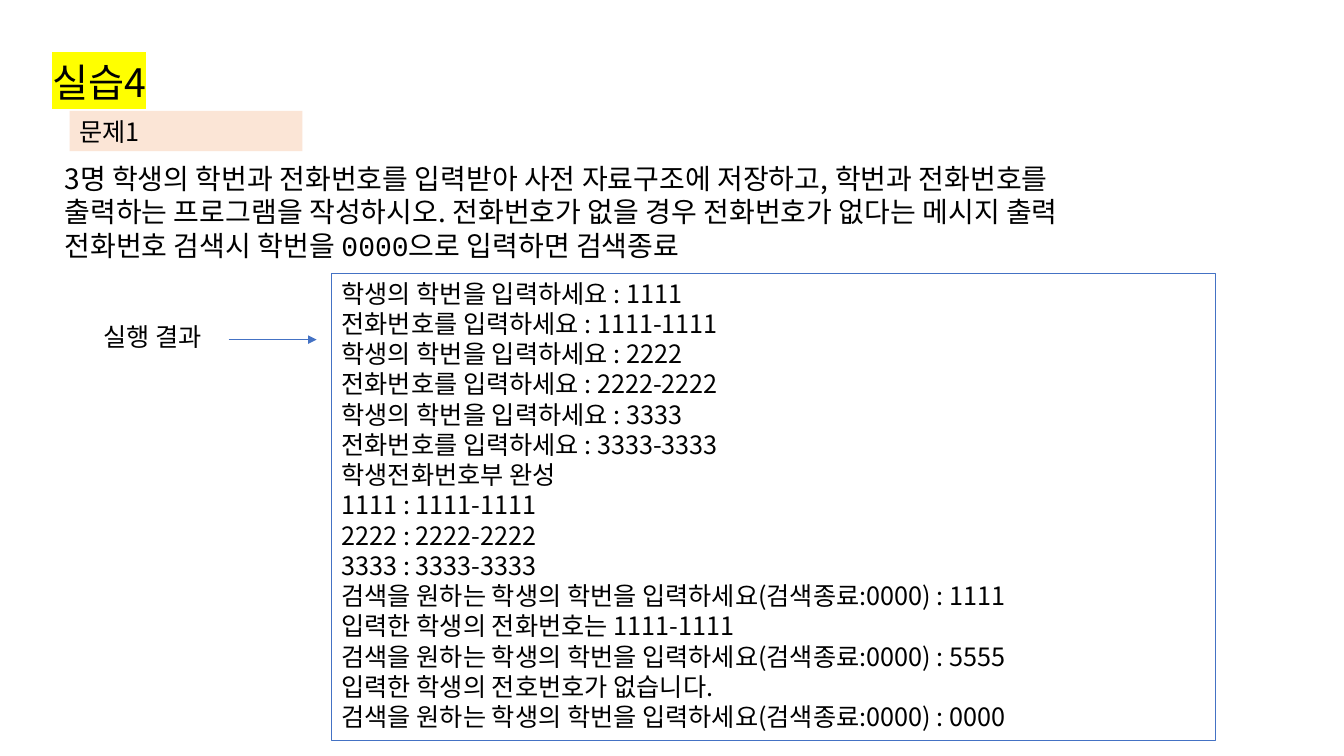
from dataclasses import dataclass

from lxml import etree
from pptx import Presentation
from pptx.dml.color import RGBColor
from pptx.enum import shapes, text
from pptx.oxml import ns
from pptx.util import Pt


@dataclass(frozen=True)
class Theme:
    font: str = "Noto Sans CJK KR"
    mono: str = "Courier New"
    ink: str = "000000"
    accent: str = "4472C4"
    peach: str = "FBE5D6"
    marker: str = "FFFF00"
    title: int = 28
    body: int = 20
    small: int = 18
    leading: float = 1.2


THEME = Theme()

STUDENTS = ["1111", "2222", "3333"]
SEARCH = "검색을 원하는 학생의 학번을 입력하세요(검색종료:0000) : "


def phone(number):
    return f"{number}-{number}"


def add_xml(parent, tag, **attrs):
    return etree.SubElement(parent, ns.qn(tag), attrs)


def place(sp, left, top, width, height):
    sp.left, sp.top, sp.width, sp.height = map(Pt, (left, top, width, height))


def write(sp, lines, size, latin=THEME.font, spacing=None, highlight=None,
          anchor=text.MSO_ANCHOR.TOP, fit=text.MSO_AUTO_SIZE.SHAPE_TO_FIT_TEXT):
    tf = sp.text_frame
    tf.word_wrap = True
    tf.auto_size = fit
    tf.vertical_anchor = anchor
    tf.text = "\n".join(lines)
    for p in tf.paragraphs:
        p.alignment = text.PP_ALIGN.LEFT
        p.line_spacing = spacing or Pt(size * THEME.leading)
        p.space_before = p.space_after = Pt(0)
        for r in p.runs:
            r.font.size = Pt(size)
            r.font.color.rgb = RGBColor.from_string(THEME.ink)
            rpr = r.font._element
            if highlight:
                mark = add_xml(rpr, "a:highlight")
                add_xml(mark, "a:srgbClr", val=highlight)
            add_xml(rpr, "a:latin", typeface=latin)
            add_xml(rpr, "a:ea", typeface=THEME.font)
    return tf


def add_title(s, caption, box):
    sp = s.shapes.title
    place(sp, *box)
    write(sp, [caption], THEME.title, spacing=0.9, highlight=THEME.marker,
          anchor=text.MSO_ANCHOR.BOTTOM, fit=text.MSO_AUTO_SIZE.NONE)


def add_body(s, lines, box):
    sp = s.placeholders[1]
    place(sp, *box)
    tf = write(sp, lines, THEME.body)
    for p in tf.paragraphs:
        ppr = p._p.get_or_add_pPr()
        ppr.set("marL", "0")
        ppr.set("indent", "0")
        add_xml(ppr, "a:buNone")
    for r in tf.paragraphs[-1].runs:
        r.font.name = THEME.mono


def add_panel(s, lines, box, fill=None, line=None):
    sp = s.shapes.add_shape(shapes.MSO_SHAPE.RECTANGLE, *map(Pt, box))
    sp.shadow.inherit = False
    if fill:
        sp.fill.solid()
        sp.fill.fore_color.rgb = RGBColor.from_string(fill)
    else:
        sp.fill.background()
    if line:
        sp.line.color.rgb = RGBColor.from_string(line)
        sp.line.width = Pt(0.75)
    else:
        sp.line.fill.background()
    write(sp, lines, THEME.small)


def add_label(s, caption, box):
    write(s.shapes.add_textbox(*map(Pt, box)), [caption], THEME.small)


def add_arrow(s, *ends):
    arrow = s.shapes.add_connector(shapes.MSO_CONNECTOR.STRAIGHT, *map(Pt, ends))
    arrow.line.color.rgb = RGBColor.from_string(THEME.accent)
    arrow.line.width = Pt(0.5)
    add_xml(arrow.line._get_or_add_ln(), "a:tailEnd", type="triangle")
    add_xml(arrow._element.spPr, "a:effectLst")


def console_lines():
    lines = []
    for number in STUDENTS:
        lines += [f"학생의 학번을 입력하세요 : {number}",
                  f"전화번호를 입력하세요 : {phone(number)}"]
    lines.append("학생전화번호부 완성")
    lines += [f"{number} : {phone(number)}" for number in STUDENTS]
    return lines + [
        SEARCH + "1111",
        f"입력한 학생의 전화번호는 {phone('1111')}",
        SEARCH + "5555",
        "입력한 학생의 전호번호가 없습니다.",
        SEARCH + "0000",
    ]


def main():
    prs = Presentation()
    prs.slide_width, prs.slide_height = Pt(960), Pt(540)
    s = prs.slides.add_slide(prs.slide_layouts[1])
    add_title(s, "실습4", (30.2, 23.8, 102.2, 55.4))
    add_panel(s, ["문제1"], (49.7, 79.2, 166.3, 28.8), fill=THEME.peach)
    add_body(s, [
        "3명 학생의 학번과 전화번호를 입력받아 사전 자료구조에 저장하고, 학번과 전화번호를",
        "출력하는 프로그램을 작성하시오. 전화번호가 없을 경우 전화번호가 없다는 메시지 출력",
        "전화번호 검색시 학번을 0000으로 입력하면 검색종료",
    ], (38.9, 111.6, 811.4, 79.2))
    add_label(s, "실행 결과", (67, 226.1, 149, 28.8))
    add_panel(s, console_lines(), (236.9, 195.1, 631.4, 334.1), line=THEME.accent)
    add_arrow(s, 163.4, 242.6, 226.1, 242.6)
    prs.save("out.pptx")


if __name__ == "__main__":
    main()
